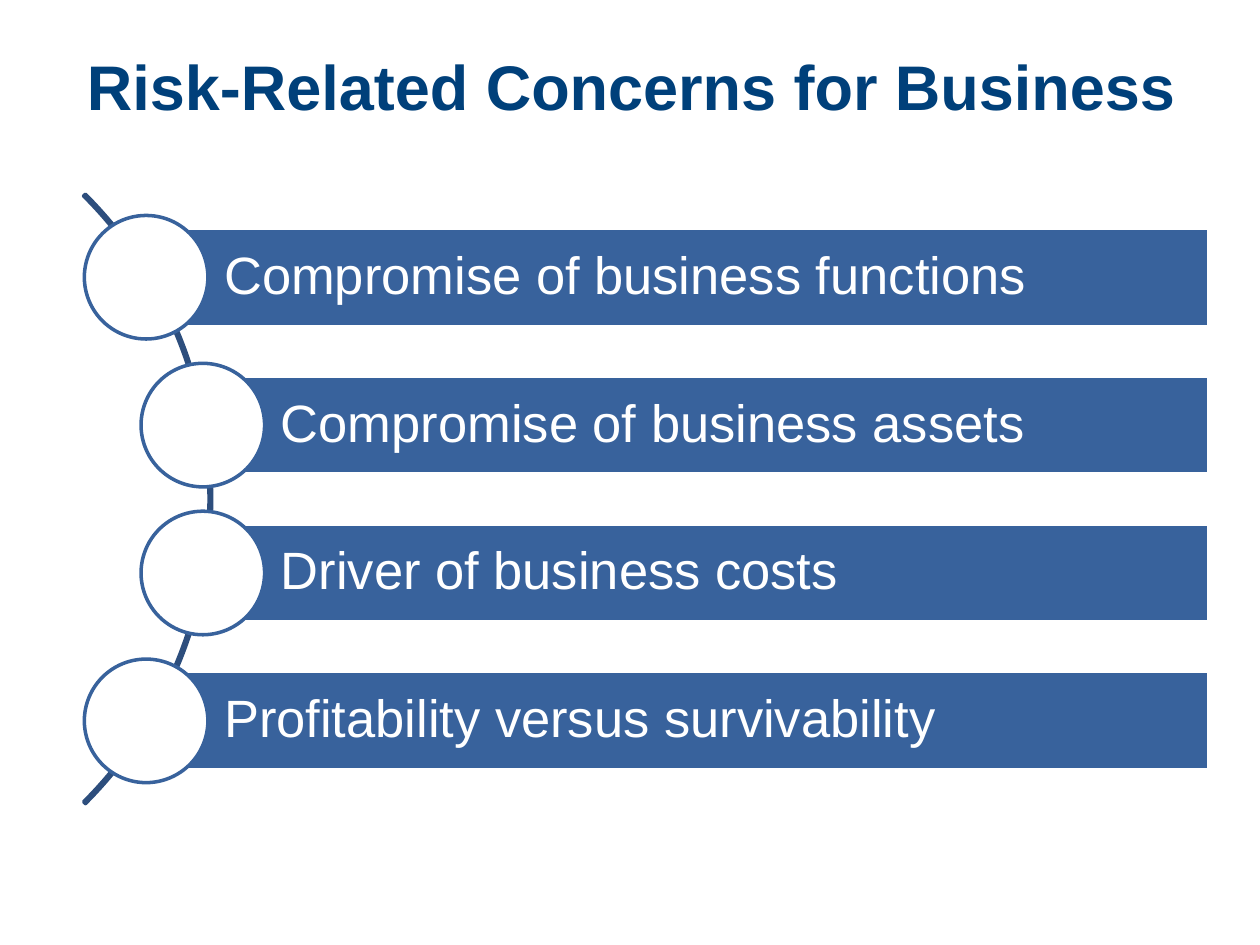
import dataclasses

import pptx
import pptx.dml.color
import pptx.enum.shapes
import pptx.enum.text
import pptx.util

Pt = pptx.util.Pt
Kind = pptx.enum.shapes.MSO_SHAPE
Anchor = pptx.enum.text.MSO_ANCHOR
Align = pptx.enum.text.PP_ALIGN

HUES = {"title": "00407A", "arc": "2D4E7D", "bar": "38629C", "white": "FFFFFF"}
RIGHT, FIRST, STEP = 690.5, 158.4, 84.5
TALL, DISC, RING = 56.2, 70.6, 492.5
HUB = -125.3

TITLE = {"size": Pt(36), "bold": True, "name": "Arial"}
LABEL = {"size": Pt(30), "bold": False, "name": "Arial"}
HEAD = {"word_wrap": True, "vertical_anchor": Anchor.TOP,
        "auto_size": pptx.enum.text.MSO_AUTO_SIZE.NONE}
FRAME = {"word_wrap": True, "vertical_anchor": Anchor.MIDDLE,
         "margin_left": Pt(44.6), "margin_right": Pt(6),
         "margin_top": Pt(6), "margin_bottom": Pt(6)}


@dataclasses.dataclass
class Item:
    text: str
    left: float


ITEMS = [
    Item("Compromise of business functions", 83.5),
    Item("Compromise of business assets", 115.9),
    Item("Driver of business costs", 115.9),
    Item("Profitability versus survivability", 83.5),
]


def tint(name: str) -> pptx.dml.color.RGBColor:
    return pptx.dml.color.RGBColor.from_string(HUES[name])


def apply(thing, values: dict) -> None:
    for key, value in values.items():
        setattr(thing, key, value)


def write(frame, text: str, look: dict, hue: str, form: dict) -> None:
    apply(frame, form)
    para = frame.paragraphs[0]
    para.alignment = Align.LEFT
    run = para.add_run()
    run.text = text
    apply(run.font, look)
    run.font.color.rgb = tint(hue)


def draw(slide, kind, box: tuple, fill: str, line: str):
    shape = slide.shapes.add_shape(kind, *map(Pt, box))
    shape.shadow.inherit = False
    if fill:
        shape.fill.solid()
        shape.fill.fore_color.rgb = tint(fill)
    else:
        shape.fill.background()
    shape.line.color.rgb = tint(line)
    shape.line.width = Pt(2)
    return shape


def add_item(slide, item: Item, mid: float) -> None:
    box = (item.left, mid - TALL / 2, RIGHT - item.left, TALL)
    bar = draw(slide, Kind.RECTANGLE, box, "bar", "white")
    write(bar.text_frame, item.text, LABEL, "white", FRAME)
    bar.text_frame.paragraphs[0].line_spacing = 0.9
    disc = (item.left - DISC / 2, mid - DISC / 2, DISC, DISC)
    draw(slide, Kind.OVAL, disc, "white", "bar")


def main() -> None:
    deck = pptx.Presentation()
    apply(deck, {"slide_width": Pt(720), "slide_height": Pt(540)})
    slide = deck.slides.add_slide(deck.slide_layouts[5])

    title = slide.shapes.title
    apply(title, {"left": Pt(42.5), "top": Pt(23.8),
                  "width": Pt(653.8), "height": Pt(77.8)})
    write(title.text_frame, "Risk-Related Concerns for Business",
          TITLE, "title", HEAD)

    center = FIRST + STEP * (len(ITEMS) - 1) / 2
    ring = (HUB - RING / 2, center - RING / 2, RING, RING)
    arc = draw(slide, Kind.BLOCK_ARC, ring, "", "arc")
    for spot, value in enumerate((189, 27, 0.003)):
        arc.adjustments[spot] = value

    for row, item in enumerate(ITEMS):
        add_item(slide, item, FIRST + row * STEP)

    deck.save("out.pptx")


if __name__ == "__main__":
    main()
